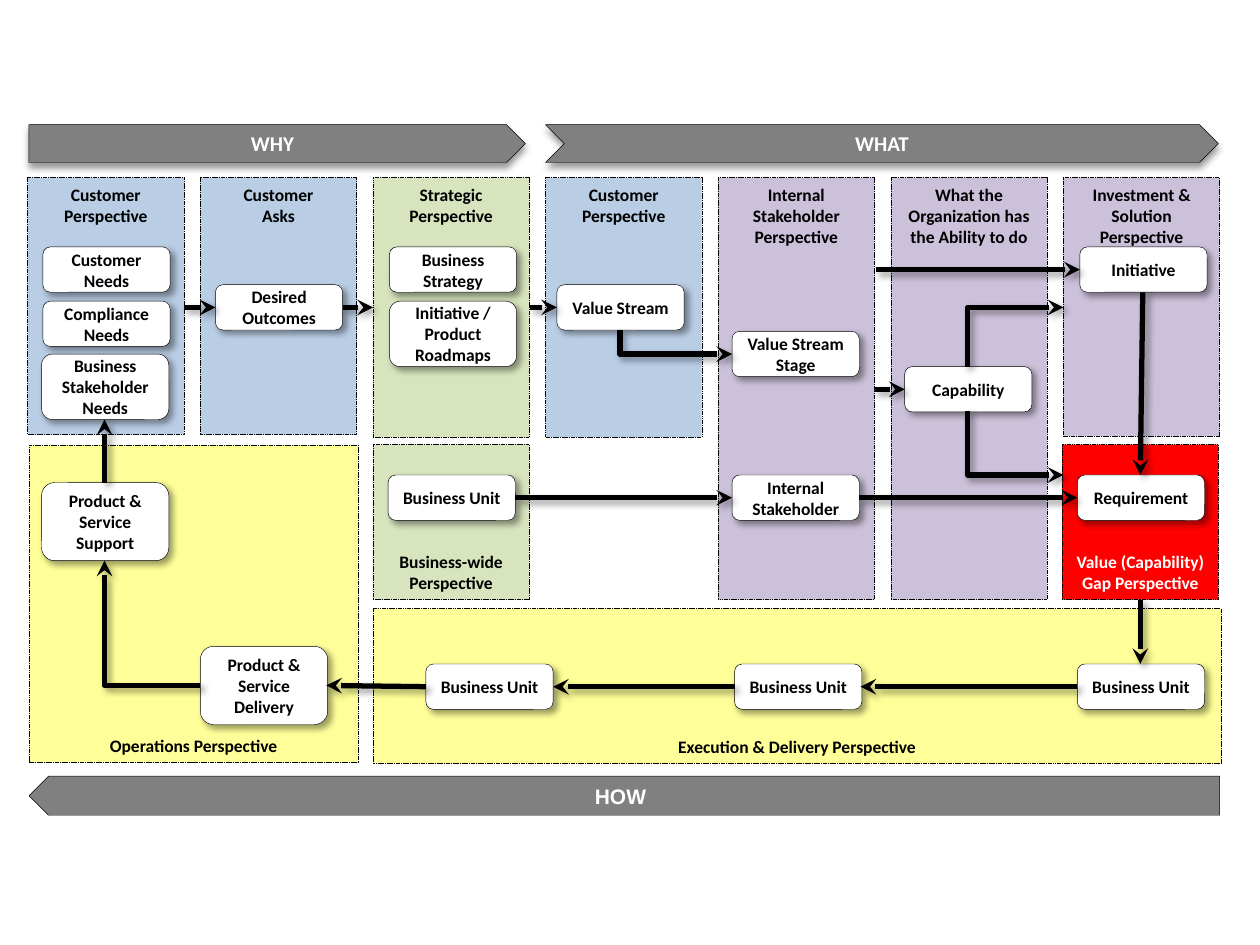
from lxml import etree
from pptx import Presentation
from pptx.dml.color import RGBColor
from pptx.enum.dml import MSO_LINE
from pptx.enum.shapes import MSO_CONNECTOR, MSO_SHAPE
from pptx.enum.text import MSO_ANCHOR, PP_ALIGN
from pptx.oxml.ns import qn
from pptx.util import Inches, Pt

RECTANGLE, ROUNDED = MSO_SHAPE.RECTANGLE, MSO_SHAPE.ROUNDED_RECTANGLE
PENTAGON, CHEVRON = MSO_SHAPE.PENTAGON, MSO_SHAPE.CHEVRON
STRAIGHT, ELBOW = MSO_CONNECTOR.STRAIGHT, MSO_CONNECTOR.ELBOW
TOP, MIDDLE, BOTTOM = MSO_ANCHOR.TOP, MSO_ANCHOR.MIDDLE, MSO_ANCHOR.BOTTOM
CENTER = PP_ALIGN.CENTER
DOTTED = MSO_LINE.SQUARE_DOT

BLACK = RGBColor(0x00, 0x00, 0x00)
WHITE = RGBColor(0xFF, 0xFF, 0xFF)
GRAY = RGBColor(0x80, 0x80, 0x80)
BLUE = RGBColor(0xB9, 0xCD, 0xE5)
GREEN = RGBColor(0xD7, 0xE4, 0xBD)
PURPLE = RGBColor(0xCC, 0xC1, 0xDA)
RED = RGBColor(0xFF, 0x00, 0x00)
YELLOW = RGBColor(0xFF, 0xFF, 0x99)

COLUMN_WIDTH, COLUMN_STEP = 1.24, 1.37
NODE_WIDTH, NODE_HEIGHT = 1.01, 0.36

COLUMNS = [
    (BLUE, 2.04, "Customer\nPerspective", [
        (0.12, 0.55, NODE_HEIGHT, "Customer Needs"),
        (0.12, 0.98, NODE_HEIGHT, "Compliance Needs"),
        (0.11, 1.4, 0.52, "Business Stakeholder Needs")]),
    (BLUE, 2.04, "Customer\nAsks", [(0.12, 0.85, NODE_HEIGHT, "Desired\nOutcomes")]),
    (GREEN, 2.06, "Strategic\nPerspective", [
        (0.13, 0.55, NODE_HEIGHT, "Business Strategy"),
        (0.13, 0.98, 0.52, "Initiative / Product Roadmaps")]),
    (BLUE, 2.06, "Customer\nPerspective", [(0.09, 0.85, NODE_HEIGHT, "Value Stream")]),
    (PURPLE, 3.35, "Internal Stakeholder\nPerspective", [
        (0.11, 1.22, NODE_HEIGHT, "Value Stream Stage"),
        (0.11, 2.36, NODE_HEIGHT, "Internal Stakeholder")]),
    (PURPLE, 3.35, "What the Organization has the Ability to do", [
        (0.11, 1.5, NODE_HEIGHT, "Capability")]),
    (PURPLE, 2.05, "Investment & Solution\nPerspective", [
        (0.13, 0.55, NODE_HEIGHT, "Initiative")]),
]

STRAIGHT_ARROWS = [
    (1.46, 2.44, 1.71, 2.44), (2.72, 2.44, 2.96, 2.44), (4.21, 2.44, 4.42, 2.44),
    (6.94, 3.09, 7.18, 3.09), (6.95, 2.14, 8.57, 2.14), (9.07, 2.32, 9.05, 3.77),
    (4.09, 3.95, 5.81, 3.95), (6.82, 3.95, 8.55, 3.95), (0.83, 3.83, 0.83, 3.33),
    (9.05, 4.76, 9.05, 5.27), (8.55, 5.45, 6.83, 5.45), (5.83, 5.45, 4.39, 5.45),
    (3.38, 5.45, 2.59, 5.44),
]
TURNING_ARROWS = [(4.92, 2.62, 5.81, 2.81), (7.68, 3.26, 8.44, 3.77), (7.68, 2.91, 8.44, 2.44)]


def add_shadow(effects, degrees):
    """Append a soft outer shadow to an effect list."""
    shadow = etree.SubElement(effects, qn("a:outerShdw"), blurRad=str(Pt(4)), dist=str(Pt(3)),
                              dir=str(degrees * 60000), rotWithShape="0")
    color = etree.SubElement(shadow, qn("a:srgbClr"), val=str(BLACK))
    etree.SubElement(color, qn("a:alpha"), val="40000")


def write_text(shape, text, color, anchor, size=10, font="Calibri"):
    """Put bold centred text into a shape."""
    frame = shape.text_frame
    frame.word_wrap = True
    frame.vertical_anchor = anchor
    frame.text = text
    for para in frame.paragraphs:
        para.alignment = CENTER
        for span in para.runs:
            span.font.name = font
            span.font.size = Pt(size)
            span.font.bold = True
            span.font.color.rgb = color


def add_block(page, kind, box, fill, shadow_degrees=None):
    """Draw a filled shape with a hairline edge and an optional shadow."""
    shape = page.shapes.add_shape(kind, *(Inches(length) for length in box))
    shape.fill.solid()
    shape.fill.fore_color.rgb = fill
    shape.line.color.rgb = BLACK
    shape.line.width = Pt(0.25)
    shape.shadow.inherit = False
    if shadow_degrees is not None:
        add_shadow(shape._element.spPr.find(qn("a:effectLst")), shadow_degrees)
    return shape


def add_panel(page, box, fill, title, nodes, anchor=BOTTOM, color=BLACK):
    """Draw a dotted perspective panel with its nodes offset from its corner."""
    left, top = box[:2]
    panel = add_block(page, RECTANGLE, box, fill)
    panel.line.dash_style = DOTTED
    write_text(panel, title, color, anchor)
    for across, down, height, text in nodes:
        node = add_block(page, ROUNDED, (left + across, top + down, NODE_WIDTH, height), WHITE, 45)
        write_text(node, text, BLACK, MIDDLE)


def add_columns(page, left, top):
    """Draw the upper row of perspective columns."""
    for index, (fill, height, title, nodes) in enumerate(COLUMNS):
        box = (left + index * COLUMN_STEP, top, COLUMN_WIDTH, height)
        add_panel(page, box, fill, title, nodes, TOP)


def add_lower_panels(page, left, top):
    """Draw the business, gap, operations and delivery panels."""
    unit = "Business Unit"
    add_panel(page, (left + 2.73, top, COLUMN_WIDTH, 1.23), GREEN, "Business-wide\nPerspective",
              [(0.12, 0.24, NODE_HEIGHT, unit)])
    add_panel(page, (left + 8.2, top, COLUMN_WIDTH, 1.23), RED, "Value (Capability) Gap Perspective",
              [(0.12, 0.24, NODE_HEIGHT, "Requirement")], color=WHITE)
    add_panel(page, (left, top, 2.61, 2.52), YELLOW, "Operations Perspective",
              [(0.1, 0.3, 0.62, "Product & Service\nSupport"),
               (1.36, 1.6, 0.62, "Product & Service\nDelivery")])
    add_panel(page, (left + 2.73, top + 1.3, 6.73, 1.23), YELLOW, "Execution & Delivery Perspective",
              [(across, 0.44, NODE_HEIGHT, unit) for across in (5.59, 2.87, 0.42)])


def add_banners(page, left, top):
    """Draw the why, what and how banners around the panels."""
    for kind, across, width, text in [(PENTAGON, 0, 3.94, "WHY"), (CHEVRON, 4.1, 5.34, "WHAT")]:
        banner = add_block(page, kind, (left + across, top, width, 0.3), GRAY, 90)
        write_text(banner, text, WHITE, MIDDLE, 12)
    add_block(page, PENTAGON, (left, top + 5.17, 9.45, 0.31), GRAY).rotation = 180
    label = page.shapes.add_textbox(Inches(left + 4.39), Inches(top + 5.18), Inches(0.61), Inches(0.3))
    write_text(label, "HOW", WHITE, TOP, 12, "Arial")
    label.text_frame.word_wrap = False


def add_arrow(page, kind, ends):
    """Draw a thick arrow with a stealth head and a shadow."""
    arrow = page.shapes.add_connector(kind, *(Inches(length) for length in ends))
    arrow.line.color.rgb = BLACK
    arrow.line.width = Pt(3)
    properties = arrow._element.spPr
    etree.SubElement(properties.find(qn("a:ln")), qn("a:tailEnd"), type="stealth")
    add_shadow(etree.SubElement(properties, qn("a:effectLst")), 45)
    if kind == ELBOW:
        properties.find(qn("a:prstGeom")).set("prst", "bentConnector2")
    return arrow


def add_turning_arrow(page, x1, y1, x2, y2):
    """Draw an arrow that runs vertically and then turns right."""
    middle_x, middle_y = (x1 + x2) / 2, (y1 + y2) / 2
    half_width, half_height = abs(y2 - y1) / 2, (x2 - x1) / 2
    degrees = 270
    if y2 < y1:
        half_height, degrees = -half_height, 90
    arrow = add_arrow(page, ELBOW, (middle_x + half_width, middle_y - half_height,
                                    middle_x - half_width, middle_y + half_height))
    arrow._element.spPr.find(qn("a:xfrm")).set("rot", str(degrees * 60000))


def add_flow(page):
    """Draw every arrow between the nodes."""
    for ends in STRAIGHT_ARROWS:
        add_arrow(page, STRAIGHT, ends)
    for ends in TURNING_ARROWS:
        add_turning_arrow(page, *ends)
    add_arrow(page, ELBOW, (1.59, 5.44, 0.83, 4.45))


def main():
    """Build and save the deck."""
    deck = Presentation()
    deck.slide_width, deck.slide_height = Inches(10), Inches(7.5)
    page = deck.slides.add_slide(deck.slide_layouts[6])
    add_columns(page, 0.22, 1.41)
    add_lower_panels(page, 0.23, 3.53)
    add_banners(page, 0.23, 0.99)
    add_flow(page)
    deck.save("out.pptx")


if __name__ == "__main__":
    main()
